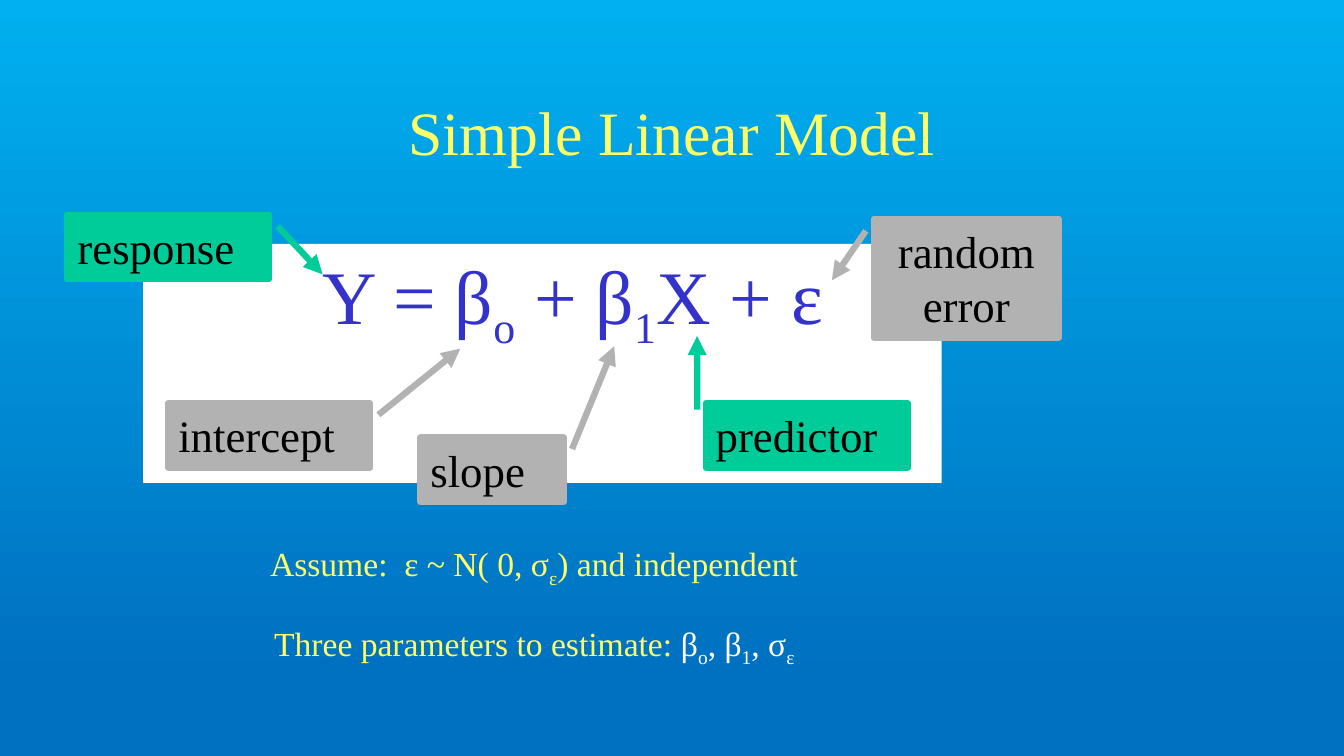
from dataclasses import dataclass

from lxml import etree
from pptx import Presentation
from pptx.dml.color import RGBColor
from pptx.enum.shapes import MSO_SHAPE
from pptx.enum.text import MSO_ANCHOR, MSO_AUTO_SIZE, PP_ALIGN
from pptx.oxml.ns import qn
from pptx.util import Inches, Pt


@dataclass(frozen=True)
class Theme:
    font: str = "Times New Roman"
    sky: str = "00B0F0"
    deep: str = "0070C0"
    yellow: str = "FFFF66"
    white: str = "FFFFFF"
    black: str = "000000"
    indigo: str = "3333CC"
    grey: str = "B2B2B2"
    green: str = "00CC99"
    title_size: int = 44
    formula_size: int = 54
    label_size: int = 32
    note_size: int = 24
    pointer_width: float = 4.5


theme = Theme()


def rgb(code):
    return RGBColor.from_string(code)


def write(frame, parts, size, align=PP_ALIGN.LEFT, anchor=MSO_ANCHOR.TOP):
    """Fill a frame with (text, colour) parts; a leading "_" marks a subscript."""
    frame.word_wrap = True
    frame.vertical_anchor = anchor
    paragraph = frame.paragraphs[0]
    paragraph.alignment = align
    for text, color in parts:
        run = paragraph.add_run()
        run.text = text.removeprefix("_")
        run.font.name = theme.font
        run.font.size = Pt(size)
        run.font.color.rgb = rgb(color)
        if text.startswith("_"):
            run.font._element.set("baseline", "-25000")


prs = Presentation()
prs.slide_width, prs.slide_height = Inches(13.33), Inches(7.5)
slide = prs.slides.add_slide(prs.slide_layouts[5])

backdrop = slide.background.fill
backdrop.gradient()
backdrop.gradient_angle = 270
for stop, position, color in zip(backdrop.gradient_stops, (0, 0.9), (theme.sky, theme.deep)):
    stop.position = position
    stop.color.rgb = rgb(color)

title = slide.shapes.title
title.left, title.top = Inches(1), Inches(0.67)
title.width, title.height = Inches(11.33), Inches(1.25)
write(title.text_frame, [("Simple Linear Model", theme.yellow)], theme.title_size,
      PP_ALIGN.CENTER, MSO_ANCHOR.MIDDLE)

panel = slide.shapes.add_shape(
    MSO_SHAPE.RECTANGLE, Inches(1.42), Inches(2.42), Inches(7.92), Inches(2.37))
panel.shadow.inherit = False
panel.fill.solid()
panel.fill.fore_color.rgb = rgb(theme.white)
panel.line.fill.background()
panel.text_frame.margin_left = Inches(1.78)
formula = ["Y = β", "_o", " + β", "_1", "X + ε"]
write(panel.text_frame, [(term, theme.indigo) for term in formula], theme.formula_size)

notes = [
    (2.58, 5.34, 8.5, [("Assume:  ε ~ N( 0, σ", theme.yellow), ("_ε", theme.yellow),
                       (") and independent", theme.yellow)]),
    (2.62, 6.13, 8.58, [("Three parameters to estimate: ", theme.yellow)]
     + [(part, theme.white) for part in ("β", "_o", ", β", "_1", ", σ", "_ε")]),
]
for left, top, width, parts in notes:
    note = slide.shapes.add_textbox(Inches(left), Inches(top), Inches(width), Inches(0.5))
    write(note.text_frame, parts, theme.note_size)

# Pointer: start y, start x, end y, end x as fractions of the label's size
labels = [
    ("intercept", theme.grey, (1.67, 4, 2, 0.64), (0.18, 1.042, -0.845, 1.448)),
    ("slope", theme.grey, (4.17, 4.34, 1.42, 0.64), (0.18, 1.059, -1.414, 1.353)),
    ("random error", theme.grey, (8.67, 2.17, 1.83, 1.18), (0.102, -0.045, 0.518, -0.229)),
    ("response", theme.green, (0.67, 2.13, 2, 0.64), (0.18, 1.042, 0.925, 1.265)),
    ("predictor", theme.green, (7, 4, 2, 0.64), (0.102, -0.042, -1.04, -0.043)),
]
for term, color, box, pointer in labels:
    label = slide.shapes.add_shape(MSO_SHAPE.LINE_CALLOUT_1, *map(Inches, box))
    label.shadow.inherit = False
    for index, fraction in enumerate(pointer):
        label.adjustments[index] = fraction
    label.fill.solid()
    label.fill.fore_color.rgb = rgb(color)
    label.line.color.rgb = rgb(color)
    label.line.width = Pt(theme.pointer_width)
    etree.SubElement(label.line._get_or_add_ln(), qn("a:tailEnd"), type="triangle")
    align = PP_ALIGN.CENTER if term == "random error" else PP_ALIGN.LEFT
    write(label.text_frame, [(term, theme.black)], theme.label_size, align)
    label.text_frame.auto_size = MSO_AUTO_SIZE.SHAPE_TO_FIT_TEXT

prs.save("out.pptx")
